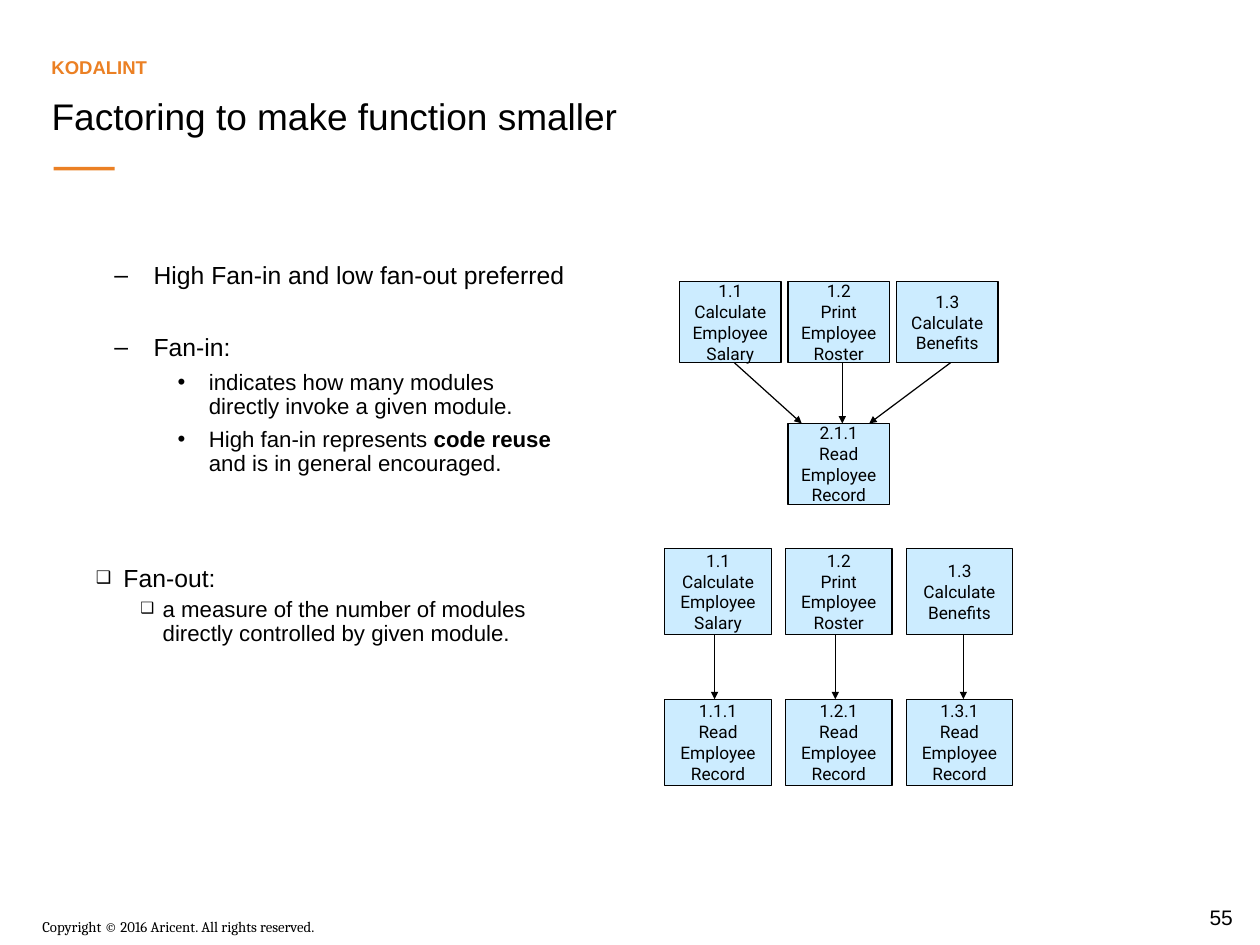
from dataclasses import dataclass

from lxml import etree
from pptx import Presentation
from pptx.dml.color import RGBColor
from pptx.enum.shapes import MSO_CONNECTOR, MSO_SHAPE
from pptx.enum.text import MSO_ANCHOR, MSO_AUTO_SIZE, PP_ALIGN
from pptx.oxml.ns import qn
from pptx.util import Cm, Pt

RECT = MSO_SHAPE.RECTANGLE
LINE = MSO_CONNECTOR.STRAIGHT
LEFT, MID = PP_ALIGN.LEFT, PP_ALIGN.CENTER
TOP, CENTER, LOW = MSO_ANCHOR.TOP, MSO_ANCHOR.MIDDLE, MSO_ANCHOR.BOTTOM


@dataclass(frozen=True)
class Theme:
    ink: RGBColor = RGBColor(0, 0, 0)
    accent: RGBColor = RGBColor(0xEB, 0x80, 0x24)
    box: RGBColor = RGBColor(0xCC, 0xEC, 0xFF)
    body: str = "Arial"
    small: str = "Cambria"
    chart: str = "Roboto"
    title: int = 30
    topic: int = 15
    head: int = 20
    point: int = 18
    node: int = 14
    page: int = 17
    foot: int = 12


THEME = Theme()

TITLE = "Factoring to make function smaller"
TOPIC = "KODALINT"
FOOT = "Copyright © 2016 Aricent. All rights reserved."
PAGE = "55"

# Bullet styles: left margin and hang in cm, mark, mark size in %, type size
STYLES = {
    "dash": (2.92, 1.12, "–", 100, THEME.head),
    "dot": (4.5, 0.89, "•", 100, THEME.point),
    "box": (2.06, 0.79, "❑", 70, THEME.head),
    "sub": (3.18, 0.64, "❑", 70, THEME.point),
}

# Style, space before in points, lines; *stars* mark bold words
FAN_IN = [
    ("dash", 0, ["High Fan-in and low fan-out preferred"]),
    ("dash", 37, ["Fan-in:"]),
    ("dot", 7.1, ["indicates how many modules",
                  "directly invoke a given module."]),
    ("dot", 7.1, ["High fan-in represents *code reuse*",
                  "and is in general encouraged."]),
]
FAN_OUT = [
    ("box", 0, ["Fan-out:"]),
    ("sub", 4.3, ["a measure of the number of modules",
                  "directly controlled by given module."]),
]

CALLERS = ["1.1 Calculate Employee Salary", "1.2 Print Employee Roster",
           "1.3 Calculate Benefits"]
READ = "Read Employee Record"

# Lengths in cm; called maps a column to its number, arrows hold x from and to
CHARTS = [
    dict(left=19.42, tops=(8.05, 12.1), step=3.1, size=(2.9, 2.31),
         called={1: "2.1.1"},
         arrows=[(20.98, 22.91), (24.07, 24.07), (27.17, 24.84)]),
    dict(left=19, tops=(15.68, 19.98), step=3.45, size=(3.04, 2.46),
         called={0: "1.1.1", 1: "1.2.1", 2: "1.3.1"},
         arrows=[(20.42, 20.42), (23.87, 23.87), (27.53, 27.53)]),
]


def style(para, size, face=THEME.body, color=THEME.ink, bold=False, align=LEFT):
    para.alignment = align
    font = para.font
    font.size, font.name, font.bold = Pt(size), face, bold
    font.color.rgb = color


def add_text(slide, area, text, size, anchor=TOP, **look):
    frame = slide.shapes.add_textbox(*map(Cm, area)).text_frame
    frame.word_wrap = True
    frame.vertical_anchor = anchor
    frame.text = text
    style(frame.paragraphs[0], size, **look)


def add_mark(para, left, hang, mark, scale):
    props = para._p.get_or_add_pPr()
    props.set("marL", str(Cm(left)))
    props.set("indent", str(-Cm(hang)))
    etree.SubElement(props, qn("a:buSzPct")).set("val", str(scale * 1000))
    etree.SubElement(props, qn("a:buFont")).set("typeface", THEME.body)
    etree.SubElement(props, qn("a:buChar")).set("char", mark)


def add_list(slide, area, items):
    frame = slide.shapes.add_textbox(*map(Cm, area)).text_frame
    frame.word_wrap = True
    for i, (kind, gap, lines) in enumerate(items):
        para = frame.add_paragraph() if i else frame.paragraphs[0]
        left, hang, mark, scale, size = STYLES[kind]
        add_mark(para, left, hang, mark, scale)
        para.line_spacing = 0.9
        para.space_before = Pt(gap)
        style(para, size)
        for j, line in enumerate(lines):
            if j:
                para.add_line_break()
            for k, part in enumerate(line.split("*")):
                if part:
                    run = para.add_run()
                    run.text = part
                    if k % 2:
                        run.font.bold = True


def add_box(slide, left, top, size, label):
    box = slide.shapes.add_shape(RECT, *map(Cm, (left, top, *size)))
    box.shadow.inherit = False
    box.fill.solid()
    box.fill.fore_color.rgb = THEME.box
    box.line.color.rgb = THEME.ink
    box.line.width = Pt(1)
    frame = box.text_frame
    frame.word_wrap = False
    frame.vertical_anchor = CENTER
    frame.margin_top = frame.margin_bottom = 0
    frame.text = "\n".join(label.split())
    for para in frame.paragraphs:
        style(para, THEME.node, THEME.chart, align=MID)


def add_arrow(slide, *ends):
    arrow = slide.shapes.add_connector(LINE, *map(Cm, ends))
    arrow.line.color.rgb = THEME.ink
    arrow.line.width = Pt(1)
    tip = etree.SubElement(arrow.line._get_or_add_ln(), qn("a:tailEnd"))
    tip.set("type", "triangle")
    etree.SubElement(arrow._element.spPr, qn("a:effectLst"))


def add_chart(slide, left, tops, step, size, called, arrows):
    """Draw a row of callers, the modules they call and the arrows between."""
    for col, label in enumerate(CALLERS):
        add_box(slide, left + col * step, tops[0], size, label)
    for col, number in called.items():
        add_box(slide, left + col * step, tops[1], size, f"{number} {READ}")
    for start, end in arrows:
        add_arrow(slide, start, tops[0] + size[1], end, tops[1])


def add_title(slide):
    title = slide.shapes.title
    title.left, title.top, title.width, title.height = map(
        Cm, (1.22, 2.54, 28.27, 2.16))
    frame = title.text_frame
    frame.text = TITLE
    frame.vertical_anchor = TOP
    frame.auto_size = MSO_AUTO_SIZE.NONE
    style(frame.paragraphs[0], THEME.title)


def add_rule(slide):
    rule = slide.shapes.add_shape(RECT, Cm(1.53), Cm(4.77), Cm(1.75), Cm(0.1))
    rule.shadow.inherit = False
    rule.fill.solid()
    rule.fill.fore_color.rgb = THEME.accent
    rule.line.fill.background()


def main():
    deck = Presentation()
    deck.slide_width, deck.slide_height = Pt(1020.63), Pt(765.5)
    slide = deck.slides.add_slide(deck.slide_layouts[5])
    add_title(slide)
    add_rule(slide)
    add_text(slide, (1.22, 0.79, 28.27, 1.57), TOPIC, THEME.topic, LOW,
             color=THEME.accent, bold=True)
    add_text(slide, (33.8, 25.72, 2.2, 0.99), PAGE, THEME.page, CENTER, align=MID)
    add_text(slide, (0.96, 26.11, 18, 0.76), FOOT, THEME.foot, face=THEME.small)
    add_list(slide, (1.22, 7.4, 18.21, 7.62), FAN_IN)
    add_list(slide, (1.22, 16.05, 18.21, 5.8), FAN_OUT)
    for chart in CHARTS:
        add_chart(slide, **chart)
    deck.save("out.pptx")


if __name__ == "__main__":
    main()
